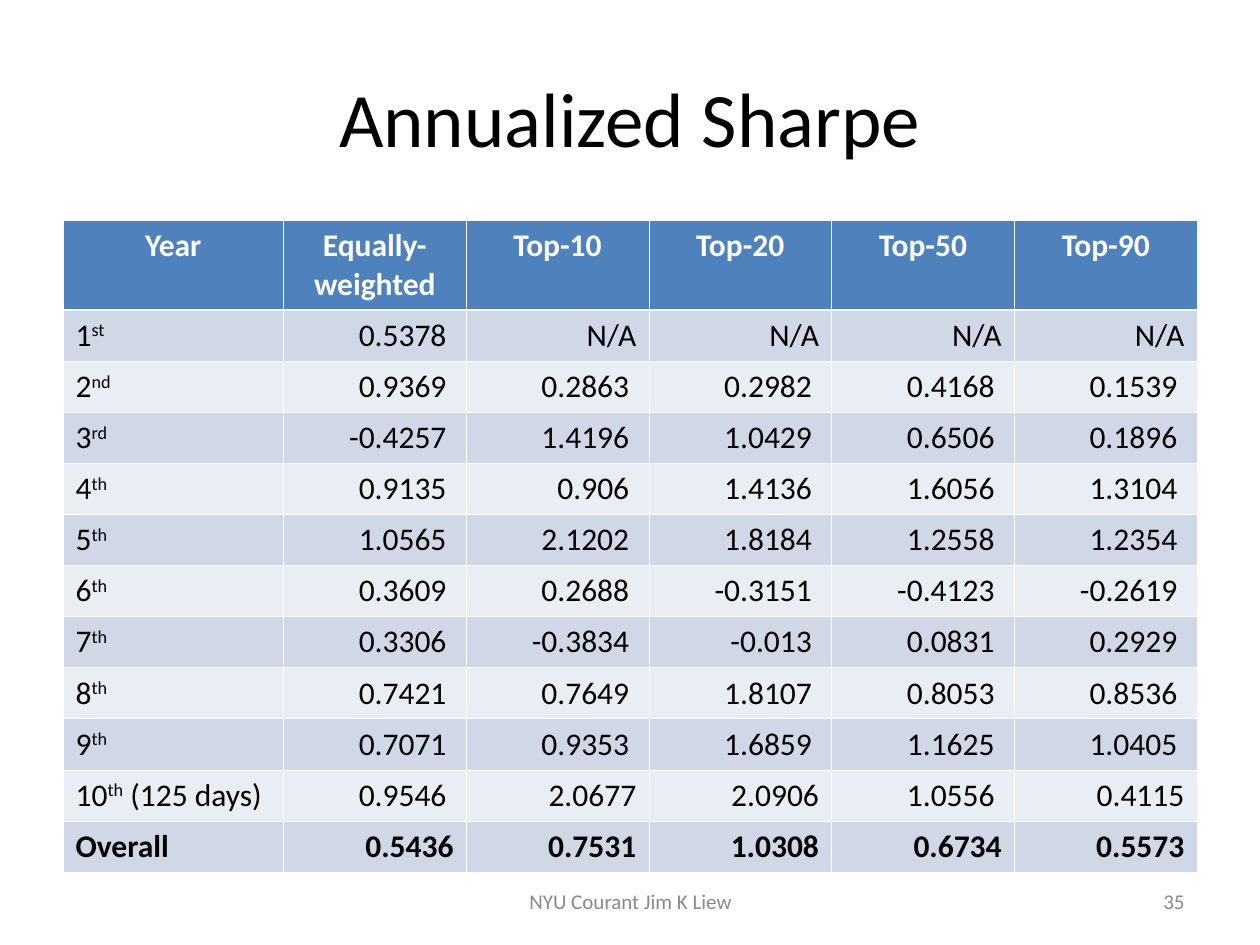
from dataclasses import dataclass

from lxml import etree
from pptx import Presentation
from pptx.dml.color import RGBColor
from pptx.enum.text import MSO_ANCHOR, PP_ALIGN
from pptx.oxml.ns import qn
from pptx.util import Inches, Pt

LEFT, CENTER, RIGHT = PP_ALIGN.LEFT, PP_ALIGN.CENTER, PP_ALIGN.RIGHT
MIDDLE = MSO_ANCHOR.MIDDLE
FONT = "Calibri"
COLORS = {
    "black": "000000",
    "white": "FFFFFF",
    "gray": "898989",
    "head": "4F81BD",
    "odd": "D0D8E8",
    "even": "E9EDF4",
}
THIN, THICK = 0.45, 1.47


@dataclass
class Row:
    label: str
    values: tuple[str, ...]


@dataclass
class Note:
    text: str
    left: float
    width: float
    align: PP_ALIGN


HEAD = Row("Year", ("Equally-weighted", "Top-10", "Top-20", "Top-50", "Top-90"))
# Text between carets is raised.
YEARS = [
    Row("1^st^", ("0.5378 ", "N/A", "N/A", "N/A", "N/A")),
    Row("2^nd^", ("0.9369 ", "0.2863 ", "0.2982 ", "0.4168 ", "0.1539 ")),
    Row("3^rd^", ("-0.4257 ", "1.4196 ", "1.0429 ", "0.6506 ", "0.1896 ")),
    Row("4^th^", ("0.9135 ", "0.906 ", "1.4136 ", "1.6056 ", "1.3104 ")),
    Row("5^th^", ("1.0565 ", "2.1202 ", "1.8184 ", "1.2558 ", "1.2354 ")),
    Row("6^th^", ("0.3609 ", "0.2688 ", "-0.3151 ", "-0.4123 ", "-0.2619 ")),
    Row("7^th^", ("0.3306 ", "-0.3834 ", "-0.013 ", "0.0831 ", "0.2929 ")),
    Row("8^th^", ("0.7421 ", "0.7649 ", "1.8107 ", "0.8053 ", "0.8536 ")),
    Row("9^th^", ("0.7071 ", "0.9353 ", "1.6859 ", "1.1625 ", "1.0405 ")),
    Row("10^th^ (125 days)", ("0.9546 ", "2.0677", "2.0906", "1.0556 ", "0.4115")),
]
TOTAL = Row("Overall", ("0.5436", "0.7531", "1.0308", "0.6734", "0.5573"))
NOTES = [
    Note("NYU Courant Jim K Liew", 3.42, 3.17, CENTER),
    Note("35", 7.17, 2.33, RIGHT),
]


def write(frame, text: str, *, size: float, color: str = "black",
          bold: bool = False, align: PP_ALIGN = LEFT) -> None:
    """Fill a frame with one paragraph; parts between carets are raised."""
    frame.word_wrap = True
    para = frame.paragraphs[0]
    para.alignment = align
    for i, part in enumerate(text.split("^")):
        if not part:
            continue
        run = para.add_run()
        run.text = part
        font = run.font
        font.name, font.size, font.bold = FONT, Pt(size), bold
        font.color.rgb = RGBColor.from_string(COLORS[color])
        if i % 2:
            run._r.get_or_add_rPr().set("baseline", "30000")


def edge(cell, top: float, bottom: float) -> None:
    """Draw white borders, which must come before the fill in the XML."""
    props = cell._tc.get_or_add_tcPr()
    widths = {"lnL": THIN, "lnR": THIN, "lnT": top, "lnB": bottom}
    for i, (tag, width) in enumerate(widths.items()):
        line = etree.Element(qn(f"a:{tag}"), w=str(Pt(width)))
        fill = etree.SubElement(line, qn("a:solidFill"))
        etree.SubElement(fill, qn("a:srgbClr"), val=COLORS["white"])
        props.insert(i, line)


def add_grid(slide) -> None:
    rows = [HEAD, *YEARS, TOTAL]
    count = len(HEAD.values) + 1
    grid = slide.shapes.add_table(len(rows), count, Inches(0.5), Inches(1.75),
                                  Inches(9), Inches(5.16)).table
    for c, col in enumerate(grid.columns):
        col.width = Inches(1.45 if c else 1.75)
    for r, row in enumerate(rows):
        grid.rows[r].height = Inches(4.46 / (len(rows) - 1) if r else 0.7)
        head = row is HEAD
        band = "head" if head else "odd" if r % 2 else "even"
        for c, text in enumerate((row.label, *row.values)):
            cell = grid.cell(r, c)
            cell.fill.solid()
            cell.fill.fore_color.rgb = RGBColor.from_string(COLORS[band])
            edge(cell, THICK if r == 1 else THIN, THICK if head else THIN)
            write(cell.text_frame, text, size=18,
                  color="white" if head else "black",
                  bold=head or row is TOTAL,
                  align=CENTER if head else RIGHT if c else LEFT)


def add_note(slide, note: Note) -> None:
    box = slide.shapes.add_textbox(Inches(note.left), Inches(6.95),
                                   Inches(note.width), Inches(0.4))
    box.text_frame.vertical_anchor = MIDDLE
    write(box.text_frame, note.text, size=12, color="gray", align=note.align)


def main() -> None:
    deck = Presentation()
    deck.slide_width, deck.slide_height = Inches(10), Inches(7.5)
    slide = deck.slides.add_slide(deck.slide_layouts[5])
    title = slide.shapes.title
    title.left, title.top = Inches(0.5), Inches(0.3)
    title.width, title.height = Inches(9), Inches(1.25)
    title.text_frame.vertical_anchor = MIDDLE
    write(title.text_frame, "Annualized Sharpe", size=44, align=CENTER)
    add_grid(slide)
    for note in NOTES:
        add_note(slide, note)
    deck.save("out.pptx")


if __name__ == "__main__":
    main()
